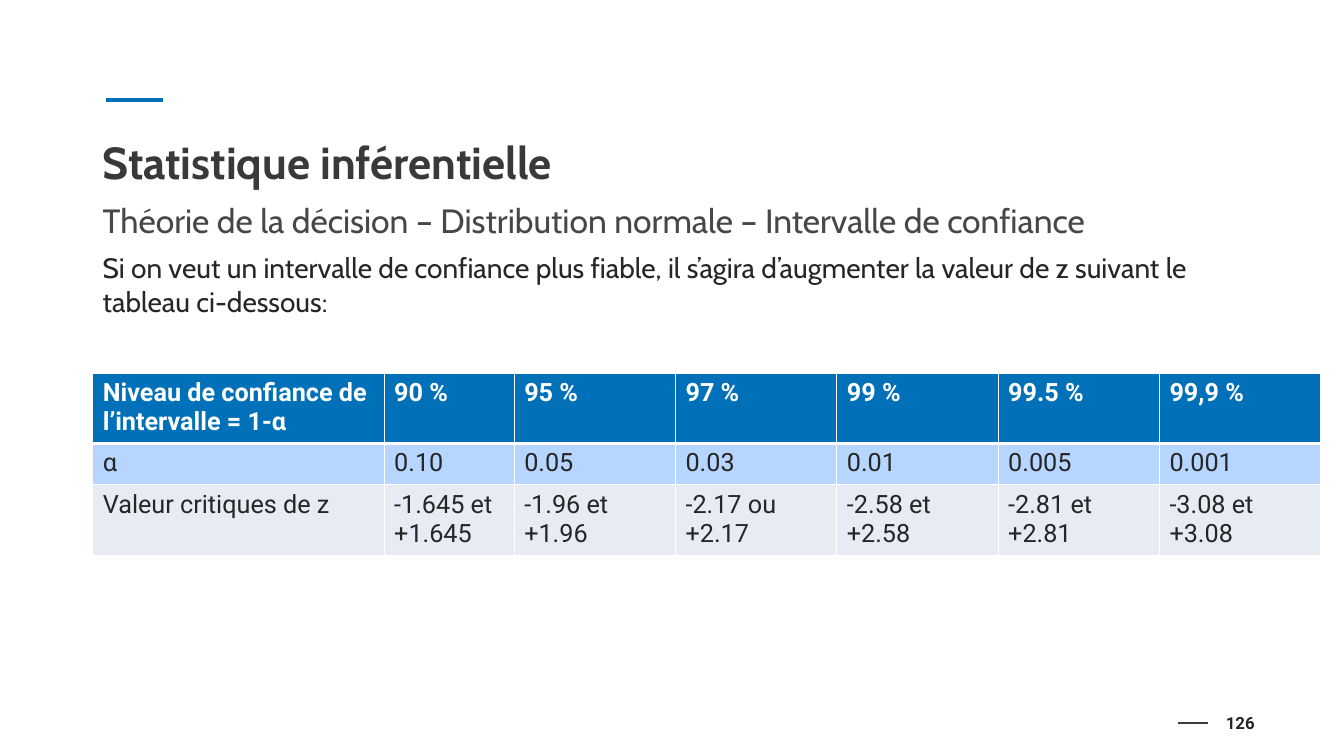
from dataclasses import dataclass

from lxml import etree
from pptx import Presentation
from pptx import util as u
from pptx.dml.color import RGBColor
from pptx.enum import shapes, text
from pptx.oxml import ns


@dataclass(frozen=True)
class Theme:
    heading_font: str = "Cabin"
    data_font: str = "Roboto"
    accent: str = "0071B9"
    title: str = "3B3838"
    subtitle: str = "474747"
    body: str = "262626"
    rule: str = "3C3C3C"
    white: str = "FFFFFF"
    alpha_row: str = "B6D5FF"
    z_row: str = "E7EBF3"
    title_size: int = 32
    subtitle_size: int = 24
    body_size: int = 20
    table_size: int = 18
    number_size: int = 12


THEME = Theme()
MIDDLE, TOP = text.MSO_ANCHOR.MIDDLE, text.MSO_ANCHOR.TOP

CONFIDENCE_ROWS = [
    ["Niveau de confiance de l’intervalle = 1-α",
     "90 %", "95 %", "97 %", "99 %", "99.5 %", "99,9 %"],
    ["α", "0.10", "0.05", "0.03", "0.01", "0.005", "0.001"],
    ["Valeur critiques de z", "-1.645 et +1.645", "-1.96 et\n+1.96",
     "-2.17 ou +2.17", "-2.58 et\n+2.58", "-2.81 et\n+2.81",
     "-3.08 et\n+3.08"],
]


def write(paragraph, words, font, size, color, bold=False):
    run = paragraph.add_run()
    run.text = words
    run.font.name = font
    run.font.size = u.Pt(size)
    run.font.bold = bold
    run.font.color.rgb = RGBColor.from_string(color)


def add_text(slide, box, words, font, size, color, bold=False, anchor=MIDDLE):
    frame = slide.shapes.add_textbox(*map(u.Inches, box)).text_frame
    frame.word_wrap = True
    frame.vertical_anchor = anchor
    write(frame.paragraphs[0], words, font, size, color, bold)


def add_rule(slide, left, top, length, color, width):
    rule = slide.shapes.add_connector(
        shapes.MSO_CONNECTOR.STRAIGHT,
        *map(u.Inches, (left, top, left + length, top)))
    rule.line.color.rgb = RGBColor.from_string(color)
    rule.line.width = u.Pt(width)
    etree.SubElement(rule._element.spPr, ns.qn("a:effectLst"))


def set_borders(cell, bottom_width):
    """Adds the white borders, ahead of the cell's fill."""
    properties = cell._tc.get_or_add_tcPr()
    widths = {"lnL": 1, "lnR": 1, "lnT": 1, "lnB": bottom_width}
    for place, (side, width) in enumerate(widths.items()):
        border = etree.Element(ns.qn(f"a:{side}"), w=str(u.Pt(width)))
        fill = etree.SubElement(border, ns.qn("a:solidFill"))
        etree.SubElement(fill, ns.qn("a:srgbClr"), val=THEME.white)
        properties.insert(place, border)


def add_heading(slide, left, top, width):
    add_rule(slide, left + 0.13, top + 0.11, 0.57, THEME.accent, 2.75)
    add_text(slide, (left, top, width, 1.45), "Statistique inférentielle",
             THEME.heading_font, THEME.title_size, THEME.title, bold=True)
    add_text(slide, (left, top + 1.15, width, 0.3),
             "Théorie de la décision – Distribution normale – Intervalle de confiance",
             THEME.heading_font, THEME.subtitle_size, THEME.subtitle)


def add_confidence_table(slide, left, top):
    columns = [2.89, 1.29] + [1.6] * 5
    heights = [0.69, 0.41, 0.69]
    fills = [THEME.accent, THEME.alpha_row, THEME.z_row]
    table = slide.shapes.add_table(
        len(heights), len(columns),
        *map(u.Inches, (left, top, sum(columns), sum(heights)))).table
    for column, width in zip(table.columns, columns):
        column.width = u.Inches(width)
    for index, values in enumerate(CONFIDENCE_ROWS):
        header = index == 0
        table.rows[index].height = u.Inches(heights[index])
        for cell, value in zip(table.rows[index].cells, values):
            cell.fill.solid()
            cell.fill.fore_color.rgb = RGBColor.from_string(fills[index])
            set_borders(cell, 3 if header else 1)
            frame = cell.text_frame
            for number, words in enumerate(value.split("\n")):
                paragraph = frame.add_paragraph() if number else frame.paragraphs[0]
                write(paragraph, words, THEME.data_font, THEME.table_size,
                      THEME.white if header else THEME.body, header)


def add_footer(slide, left, top):
    add_rule(slide, left, top + 0.2, 0.3, THEME.rule, 1.25)
    add_text(slide, (left + 0.38, top, 0.59, 0.4), "126",
             THEME.data_font, THEME.number_size, THEME.body, bold=True)


def main():
    deck = Presentation()
    deck.slide_width, deck.slide_height = u.Inches(13.33), u.Inches(7.5)
    slide = deck.slides.add_slide(deck.slide_layouts[6])
    left, width = 0.92, 11.5

    # Heading and introduction
    add_heading(slide, left, 0.88, width)
    add_text(slide, (left, 2.44, width, 2.52),
             "Si on veut un intervalle de confiance plus fiable, il s’agira "
             "d’augmenter la valeur de z suivant le tableau ci-dessous:",
             THEME.heading_font, THEME.body_size, THEME.body, anchor=TOP)

    # Critical values and page number
    add_confidence_table(slide, left, 3.7)
    add_footer(slide, 11.68, 6.97)
    deck.save("out.pptx")


if __name__ == "__main__":
    main()
